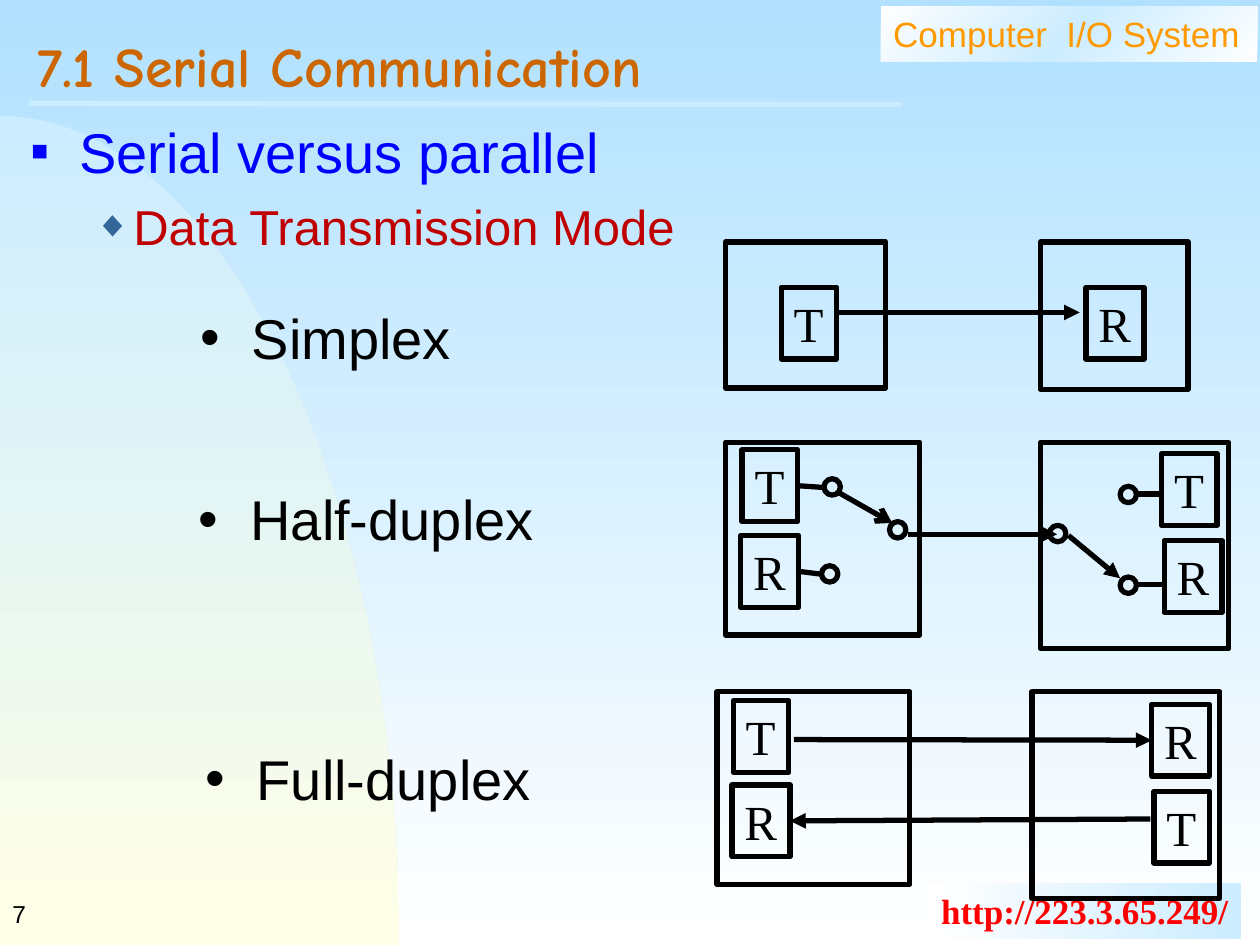
"""Build the slide on simplex, half-duplex and full-duplex transmission."""
from copy import deepcopy
from math import cos, pi, sin

from lxml.etree import SubElement
from pptx import Presentation
from pptx.dml.color import RGBColor
from pptx.enum.shapes import MSO_CONNECTOR, MSO_SHAPE
from pptx.enum.text import MSO_ANCHOR, MSO_AUTO_SIZE, PP_ALIGN
from pptx.oxml.ns import qn
from pptx.util import Inches, Pt

COLOURS = {
    "sky": "B1E1FF", "ice": "CCECFF", "white": "FFFFFF", "cream": "FFFFE7",
    "orange": "FF9900", "red": "FF0000", "brown": "CC6600", "blue": "0000FF",
    "crimson": "C00000", "steel": "336699", "black": "000000",
}
RGB = {name: RGBColor.from_string(value) for name, value in COLOURS.items()}
LINE_WIDTH = Pt(3)


def paint(fill, first, last, angle):
    fill.gradient()
    fill.gradient_angle = angle
    for stop, name, position in zip(fill.gradient_stops, (first, last), (0, 1)):
        stop.color.rgb = RGB[name]
        stop.position = position


def write(paragraph, text, size, colour, font="Arial", bold=False, bullet=None):
    paragraph.alignment = PP_ALIGN.LEFT
    if bullet:
        mark, mark_colour, mark_size, margin, indent = bullet
        properties = paragraph._p.get_or_add_pPr()
        properties.set("marL", str(Inches(margin)))
        properties.set("indent", str(Inches(-indent)))
        colour_holder = SubElement(properties, qn("a:buClr"))
        SubElement(colour_holder, qn("a:srgbClr"), val=COLOURS[mark_colour])
        SubElement(properties, qn("a:buSzPct"), val=str(mark_size * 1000))
        SubElement(properties, qn("a:buFont"), typeface="Arial")
        SubElement(properties, qn("a:buChar"), char=mark)
    run = paragraph.add_run()
    run.text = text
    for attribute, value in {"size": Pt(size), "name": font, "bold": bold}.items():
        setattr(run.font, attribute, value)
    run.font.color.rgb = RGB[colour]


presentation = Presentation()
presentation.slide_width = Inches(10)
presentation.slide_height = Inches(7.5)
slide = presentation.slides.add_slide(presentation.slide_layouts[6])
paint(slide.background.fill, "sky", "white", 270)

arc = [(Inches(3.17 * sin(step * pi / 120)), Inches(7.5 - 6.58 * cos(step * pi / 120)))
       for step in range(61)]
builder = slide.shapes.build_freeform(*arc[0], scale=1.0)
builder.add_line_segments(arc[1:] + [(0, Inches(7.5))], close=True)
hill = builder.convert_to_shape()
hill.shadow.inherit = False
hill.line.fill.background()
paint(hill.fill, "ice", "cream", 270)

banners = [
    ((6.99, 0.05, 2.99, 0.44), 315, True, "Computer  I/O System", "orange", "Arial", False),
    ((7.37, 7.01, 2.48, 0.44), 0, False, "http://223.3.65.249/", "red", "Times New Roman", True),
]
for place, angle, shiny, text, colour, font, bold in banners:
    banner = slide.shapes.add_shape(MSO_SHAPE.RECTANGLE, *map(Inches, place))
    banner.shadow.inherit = False
    banner.line.fill.background()
    paint(banner.fill, "white", "white" if shiny else "ice", angle)
    if shiny:
        first_stop = banner._element.spPr.find(".//" + qn("a:gs"))
        first_stop.addnext(deepcopy(first_stop))
        middle_stop = banner.fill.gradient_stops[1]
        middle_stop.color.rgb = RGB["ice"]
        middle_stop.position = 0.5
    banner.text_frame.word_wrap = shiny
    banner.text_frame.vertical_anchor = MSO_ANCHOR.TOP
    write(banner.text_frame.paragraphs[0], text, 20, colour, font, bold)

underline = slide.shapes.add_connector(
    MSO_CONNECTOR.STRAIGHT, Inches(0.23), Inches(0.82), Inches(7.15), Inches(0.83))
underline.line.color.rgb = RGB["ice"]
underline.line.width = LINE_WIDTH
SubElement(underline._element.spPr, qn("a:effectLst"))

page_number = slide.shapes.add_textbox(0, Inches(7), Inches(2.08), Inches(0.5)).text_frame
page_number.word_wrap = True
page_number.vertical_anchor = MSO_ANCHOR.MIDDLE
write(page_number.paragraphs[0], "7", 14, "black")

title = slide.shapes.add_textbox(Inches(0.2), Inches(0.2), Inches(9.55), Inches(0.77)).text_frame
title.word_wrap = True
title.vertical_anchor = MSO_ANCHOR.MIDDLE
title.paragraphs[0].line_spacing = 0.7
write(title.paragraphs[0], "7.1 Serial Communication", 32, "brown", "Comic Neue", True)

outline = slide.shapes.add_textbox(Inches(0.15), Inches(0.88), Inches(9.6), Inches(6.2)).text_frame
outline.word_wrap = True
write(outline.paragraphs[0], "Serial versus parallel", 32, "blue",
      bullet=("■", "blue", 50, 0.38, 0.38))
subtopic = outline.add_paragraph()
subtopic.level = 1
subtopic.space_before = Pt(7)
write(subtopic, "Data Transmission Mode", 28, "crimson",
      bullet=("◆", "steel", 75, 0.81, 0.31))

modes = [
    {
        "label": ("Simplex", 1.49, 2.36, 2.49),
        "stations": [(5.76, 1.92, 1.27, 1.16), (8.26, 1.92, 1.17, 1.17)],
        "units": [("T", 6.2, 2.28), ("R", 8.62, 2.28)],
        "contacts": [],
        "wires": [((6.65, 2.48, 8.57, 2.48), "tailEnd", "triangle", None, None)],
    },
    {
        "label": ("Half-duplex", 1.48, 3.8, 2.86),
        "stations": [(5.76, 3.51, 1.54, 1.53), (8.26, 3.51, 1.49, 1.64)],
        "units": [("T", 5.89, 3.57), ("R", 5.88, 4.25), ("T", 9.22, 3.6), ("R", 9.24, 4.29)],
        "contacts": [(6.54, 3.8), (6.52, 4.49), (7.06, 4.14),
                     (8.33, 4.17), (8.89, 4.58), (8.89, 3.86)],
        "wires": [
            ((7.21, 4.24, 8.39, 4.24), "tailEnd", "triangle", None, None),
            ((6.35, 3.87, 6.55, 3.87), None, None, 0, None),
            ((6.33, 4.56, 6.54, 4.56), None, None, 1, None),
            ((6.64, 3.9, 7.08, 4.15), "tailEnd", "arrow", None, None),
            ((9.02, 4.64, 9.23, 4.64), None, None, None, None),
            ((9.02, 3.92, 9.23, 3.92), None, None, None, None),
            ((8.48, 4.25, 8.89, 4.59), "tailEnd", "triangle", None, None),
        ],
    },
    {
        "label": ("Full-duplex", 1.53, 5.86, 2.79),
        "stations": [(5.69, 5.49, 1.53, 1.53), (8.19, 5.49, 1.49, 1.64)],
        "units": [("T", 5.82, 5.56), ("R", 5.81, 6.23), ("R", 9.14, 5.59), ("T", 9.16, 6.28)],
        "contacts": [],
        "wires": [
            ((6.3, 5.87, 9.13, 5.87), "tailEnd", "triangle", None, 2),
            ((6.29, 6.5, 9.13, 6.5), "headEnd", "triangle", 1, None),
        ],
    },
]
unit_widths = {"T": 0.44, "R": 0.46}

for mode in modes:
    name, left, top, width = mode["label"]
    label = slide.shapes.add_textbox(Inches(left), Inches(top), Inches(width), Inches(0.64))
    label.text_frame.word_wrap = True
    write(label.text_frame.paragraphs[0], name, 32, "black",
          bullet=("•", "black", 100, 0.41, 0.41))

    diagram = slide.shapes.add_group_shape().shapes
    outlines = [(MSO_SHAPE.RECTANGLE, place, "") for place in mode["stations"]]
    outlines += [(MSO_SHAPE.RECTANGLE, (x, y, unit_widths[letter], 0.57), letter)
                 for letter, x, y in mode["units"]]
    outlines += [(MSO_SHAPE.OVAL, (x, y, 0.13, 0.13), "") for x, y in mode["contacts"]]
    units = []
    for kind, place, letter in outlines:
        part = diagram.add_shape(kind, *map(Inches, place))
        part.shadow.inherit = False
        part.fill.background()
        part.line.color.rgb = RGB["black"]
        part.line.width = LINE_WIDTH
        if letter:
            frame_format = {"word_wrap": False, "vertical_anchor": MSO_ANCHOR.TOP,
                            "auto_size": MSO_AUTO_SIZE.SHAPE_TO_FIT_TEXT}
            for attribute, value in frame_format.items():
                setattr(part.text_frame, attribute, value)
            write(part.text_frame.paragraphs[0], letter, 28, "black", "Times New Roman")
            units.append(part)

    for ends, arrow_end, arrow_type, source, target in mode["wires"]:
        wire = diagram.add_connector(MSO_CONNECTOR.STRAIGHT, *map(Inches, ends))
        if source is not None:
            wire.begin_connect(units[source], 3)
        if target is not None:
            wire.end_connect(units[target], 1)
        wire.line.color.rgb = RGB["black"]
        wire.line.width = LINE_WIDTH
        if arrow_end:
            SubElement(wire._element.spPr.find(qn("a:ln")), qn("a:" + arrow_end), type=arrow_type)
        SubElement(wire._element.spPr, qn("a:effectLst"))

presentation.save("out.pptx")
